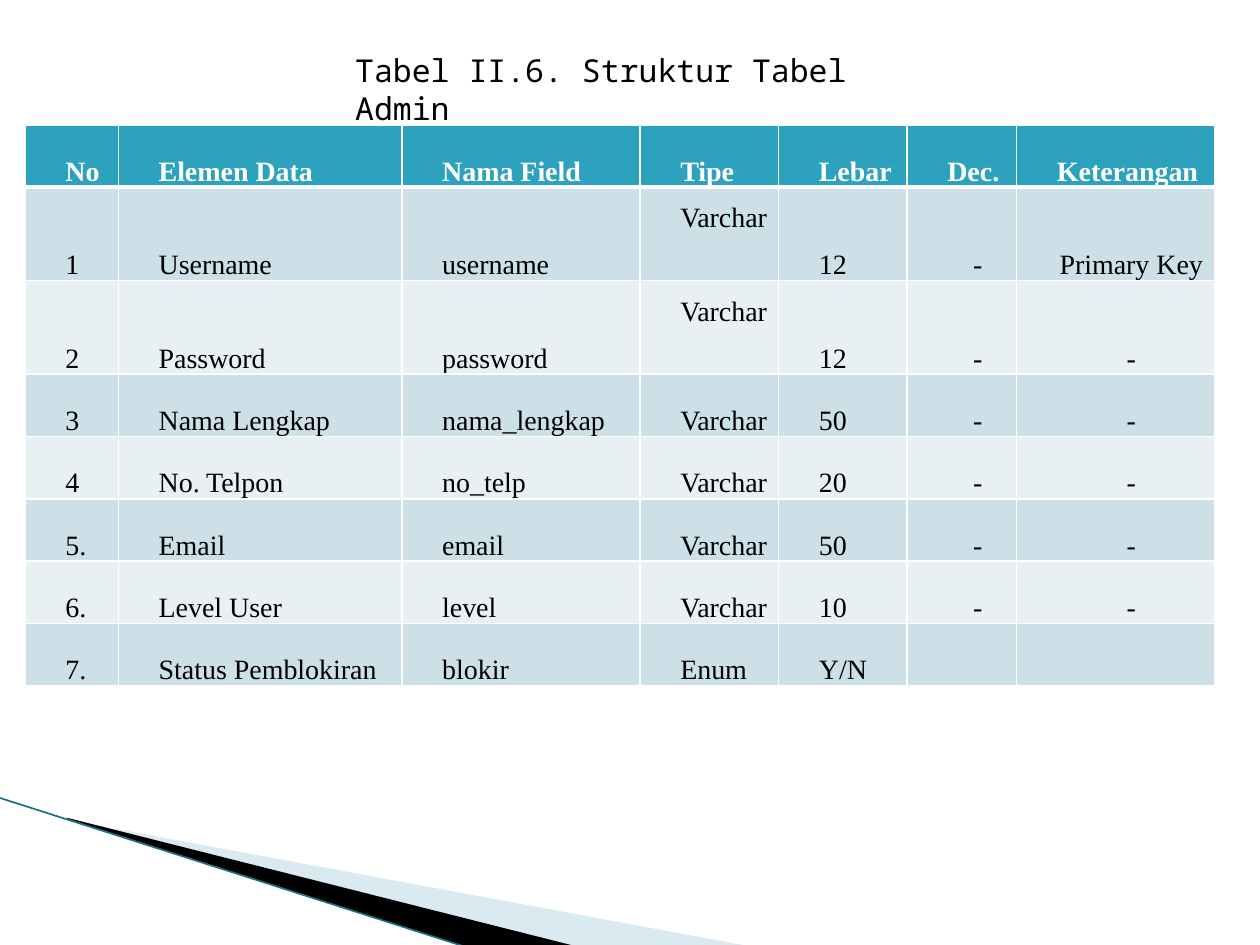
"""Build the slide that shows the structure of the Admin table."""
from lxml.etree import SubElement
from pptx import Presentation
from pptx.dml.color import RGBColor
from pptx.enum.shapes import MSO_CONNECTOR
from pptx.enum.text import MSO_ANCHOR, PP_ALIGN
from pptx.oxml.ns import qn
from pptx.util import Emu, Inches, Pt

TITLE = "Tabel II.6. Struktur Tabel Admin"
ROWS = [
    ("No", "Elemen Data", "Nama Field", "Tipe", "Lebar", "Dec.", "Keterangan"),
    ("1", "Username", "username", "Varchar", "12", "-", "Primary Key"),
    ("2", "Password", "password", "Varchar", "12", "-", "-"),
    ("3", "Nama Lengkap", "nama_lengkap", "Varchar", "50", "-", "-"),
    ("4", "No. Telpon", "no_telp", "Varchar", "20", "-", "-"),
    ("5.", "Email", "email", "Varchar", "50", "-", "-"),
    ("6.", "Level User", "level", "Varchar", "10", "-", "-"),
    ("7.", "Status Pemblokiran", "blokir", "Enum", "Y/N", "", ""),
]
COLS = [0.74, 2.25, 1.89, 1.1, 1.02, 0.87, 1.57]
TALL, TYPE, MID = (1, 2), 3, 5
LEFT, TOP, HIGH = 0.2, 0.99, 3.96
HEX = {"head": "2DA2BF", "odd": "CDE0E8", "even": "E8F0F4", "white": "FFFFFF",
       "black": "000000", "pale": "A0CBDC", "teal": "1C6F85"}
WEDGES = [
    ("pale", 40, [(0.55, 6.51), (5.95, 7.51), (4.56, 7.51), (0.55, 6.5)]),
    ("black", 100, [(0.53, 6.49), (4.57, 7.51), (3.72, 7.52), (0.54, 6.5)]),
]
EDGE = [(-0.01, 6.33), (3.71, 7.52)]


def color(name):
    return RGBColor.from_string(HEX[name])


def style(para, size, face, name, bold=False):
    font = para.font
    font.size, font.name, font.bold = Pt(size), face, bold
    font.color.rgb = color(name)


def wedge(slide, name, alpha, points):
    spots = [(Inches(x), Inches(y)) for x, y in points]
    pen = slide.shapes.build_freeform(*spots[0])
    pen.add_line_segments(spots[1:])
    shape = pen.convert_to_shape()
    shape.shadow.inherit = False
    shape.line.fill.background()
    shape.fill.solid()
    shape.fill.fore_color.rgb = color(name)
    if alpha < 100:
        tint = shape.fill._xPr.find(".//" + qn("a:srgbClr"))
        SubElement(tint, qn("a:alpha"), val=str(alpha * 1000))


def edge(slide):
    ends = [Inches(v) for spot in EDGE for v in spot]
    line = slide.shapes.add_connector(MSO_CONNECTOR.STRAIGHT, *ends)
    line.line.color.rgb = color("teal")
    line.line.width = Pt(0.95)
    SubElement(line._element.spPr, qn("a:effectLst"))


def border(cell, row):
    thick = {"T": 3 if row == 1 else 1, "B": 3 if row == 0 else 1}
    props = cell._tc.get_or_add_tcPr()
    for side in "LRTB":
        line = SubElement(props, qn("a:ln" + side), w=str(Pt(thick.get(side, 1))))
        fill = SubElement(line, qn("a:solidFill"))
        SubElement(fill, qn("a:srgbClr"), val=HEX["white"])


def fill_cell(cell, text, row, col):
    border(cell, row)
    cell.fill.solid()
    cell.fill.fore_color.rgb = color("head" if row == 0 else "odd" if row % 2 else "even")
    cell.margin_left = cell.margin_right = Inches(0.07)
    cell.margin_top = cell.margin_bottom = 0
    high = row in TALL and col == TYPE
    cell.vertical_anchor = MSO_ANCHOR.TOP if high else MSO_ANCHOR.BOTTOM
    cell.text_frame.text = text
    para = cell.text_frame.paragraphs[0]
    para.line_spacing = 1.5
    para.alignment = PP_ALIGN.CENTER if row and col >= MID else PP_ALIGN.LEFT
    para._p.get_or_add_pPr().set("marL", str(Inches(0.25)))
    style(para, 16, "Times New Roman", "black" if row else "white", row == 0)


def grid(slide):
    frame = slide.shapes.add_table(len(ROWS), len(COLS), Inches(LEFT), Inches(TOP),
                                   Inches(sum(COLS)), Inches(HIGH))
    table = frame.table
    for col, wide in zip(table.columns, COLS):
        col.width = Inches(wide)
    step = Inches(HIGH / len(ROWS))
    for r, texts in enumerate(ROWS):
        table.rows[r].height = Emu(int(step * (1.5 if r in TALL else 1)))
        for c, text in enumerate(texts):
            fill_cell(table.cell(r, c), text, r, c)


def title(slide):
    box = slide.shapes.add_textbox(Inches(2.72), Inches(0.36), Inches(4.25), Inches(0.4))
    box.text_frame.word_wrap = True
    box.text_frame.text = TITLE
    style(box.text_frame.paragraphs[0], 18, "Noto Sans Mono", "black")


def main():
    deck = Presentation()
    deck.slide_width, deck.slide_height = Inches(10), Inches(7.5)
    slide = deck.slides.add_slide(deck.slide_layouts[6])
    for part in WEDGES:
        wedge(slide, *part)
    edge(slide)
    grid(slide)
    title(slide)
    deck.save("out.pptx")


if __name__ == "__main__":
    main()
